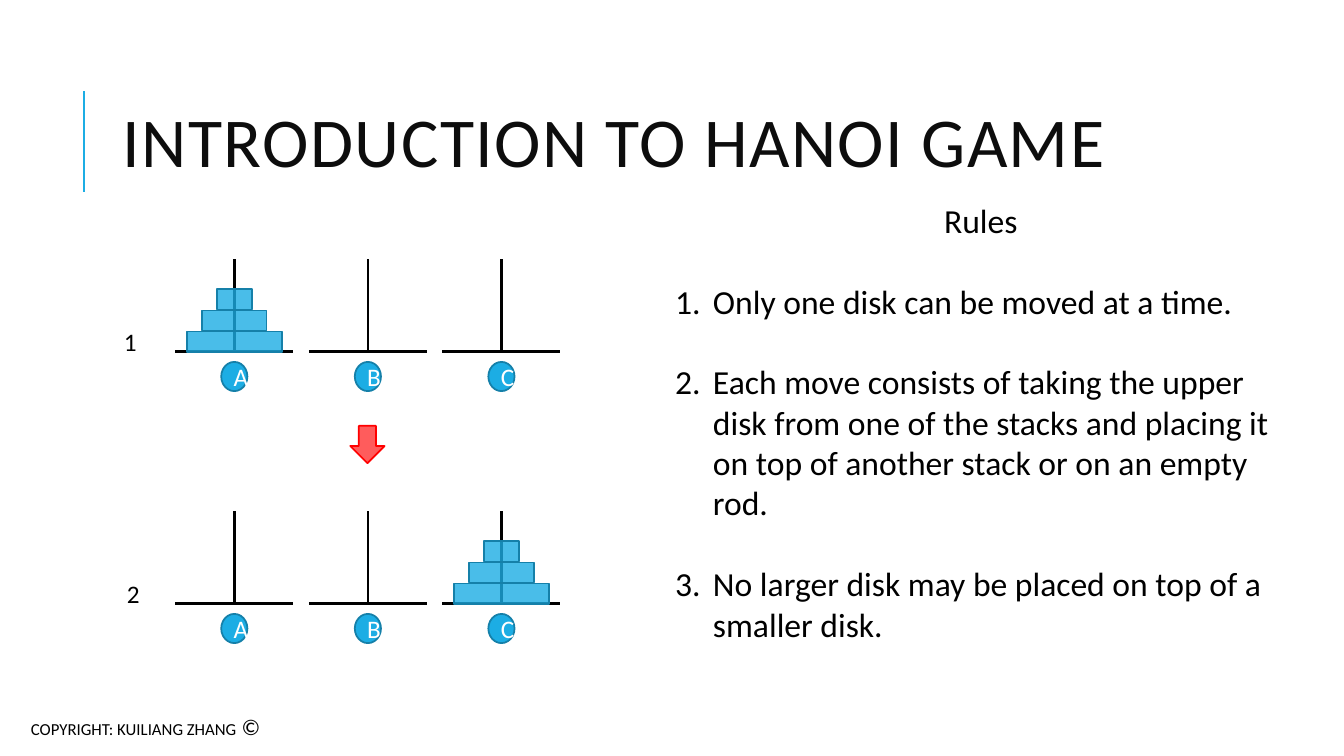
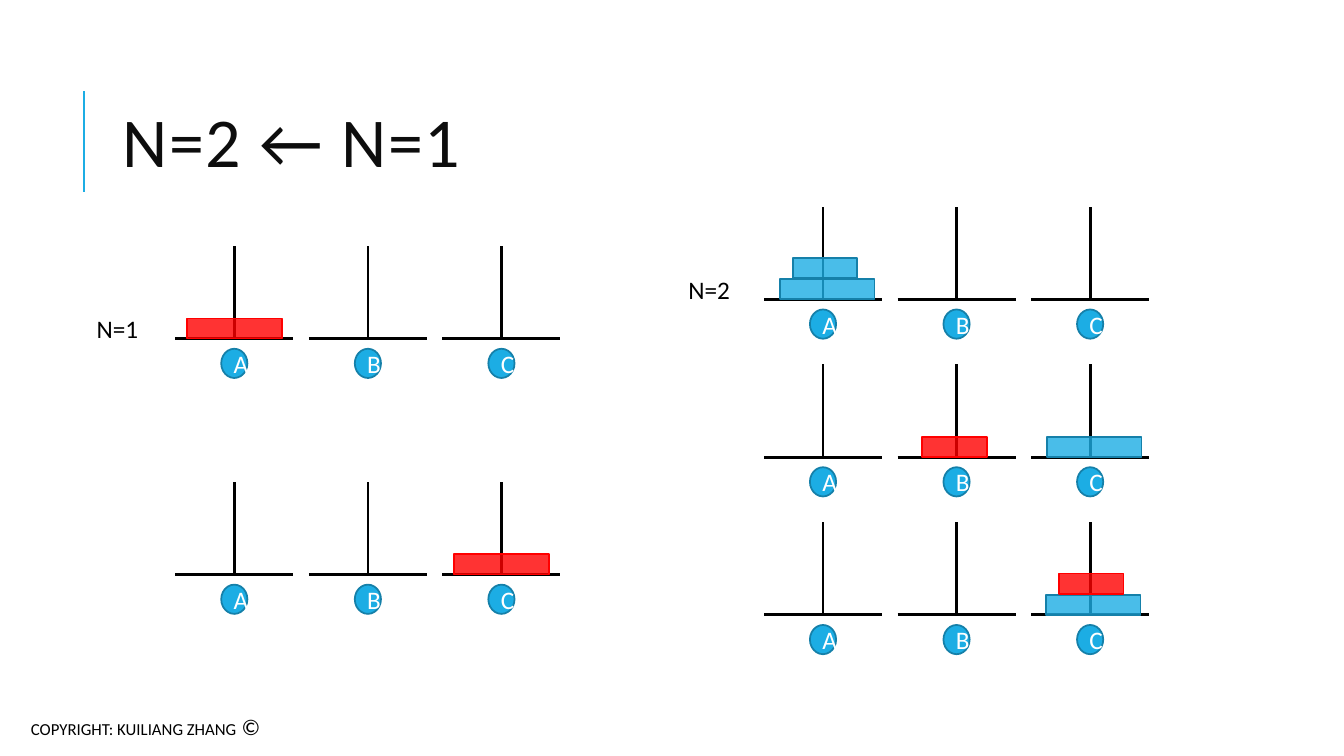
import dataclasses
import typing

import lxml.etree
import pptx
import pptx.dml.color
import pptx.enum.shapes
import pptx.enum.text
import pptx.oxml.ns
import pptx.util

RGBColor = pptx.dml.color.RGBColor
MSO_SHAPE = pptx.enum.shapes.MSO_SHAPE
PP_ALIGN = pptx.enum.text.PP_ALIGN
MSO_ANCHOR = pptx.enum.text.MSO_ANCHOR
MSO_AUTO_SIZE = pptx.enum.text.MSO_AUTO_SIZE

SKY = RGBColor(0x1C, 0xAD, 0xE4)
SKY_EDGE = RGBColor(0x15, 0x80, 0xA9)
RED = RGBColor(0xFF, 0x00, 0x00)
INK = RGBColor(0x0D, 0x0D, 0x0D)
BLACK = RGBColor(0x00, 0x00, 0x00)
WHITE = RGBColor(0xFF, 0xFF, 0xFF)

FONT = "Calibri"
CELL = pptx.util.Inches(0.1)
COLUMNS, ROWS = 133.33, 75

PEGS = "ABC"
PEG_PITCH = 13.25
BASE_WIDTH = 11.7
ROD_HEIGHT = 9.2
DISK_HEIGHT = 2
DISK_PITCH = 2.1
BADGE_WIDTH, BADGE_HEIGHT, BADGE_DROP = 2.6, 2.9, 1
LABEL_RISE = 3
LARGE, MEDIUM, SMALL = 9.4, 6.4, 3.5


@dataclasses.dataclass(frozen=True)
class Frame:
    left: float
    top: float
    width: float
    height: float

    def emu(self) -> tuple[int, ...]:
        return tuple(cells(n) for n in dataclasses.astuple(self))


@dataclasses.dataclass(frozen=True)
class Disk:
    width: float
    fill: RGBColor = SKY
    edge: RGBColor = SKY_EDGE
    shift: float = 0


@dataclasses.dataclass(frozen=True)
class Label:
    wording: str
    left: float
    width: float


@dataclasses.dataclass(frozen=True)
class Board:
    left: float
    base: float
    stacks: dict[str, tuple[Disk, ...]]
    label: typing.Optional[Label] = None


TOWER = (Disk(LARGE), Disk(MEDIUM), Disk(SMALL))
RED_LARGE = Disk(LARGE, RED, RED)
LEFT_BOARDS = 17.4
RIGHT_BOARDS = 75.8
RIGHT_TOP, RIGHT_STEP = 29.7, 15.65

INTRO_BOARDS = (
    Board(LEFT_BOARDS, 34.9, {"A": TOWER}, Label("1", 11.3, 3.4)),
    Board(LEFT_BOARDS, 59.9, {"C": TOWER}, Label("2", 11.6, 3.4)),
)
RIGHT_STACKS = (
    {"A": (Disk(LARGE, shift=0.4), Disk(MEDIUM, shift=0.2))},
    {"B": (Disk(MEDIUM, RED, RED, -0.2),), "C": (Disk(LARGE, shift=0.4),)},
    {"C": (Disk(LARGE, shift=0.3), Disk(MEDIUM, RED, RED, 0.1))},
)
STEP_BOARDS = (
    Board(LEFT_BOARDS, 33.6, {"A": (RED_LARGE,)}, Label("N=1", 8.6, 6.8)),
    Board(LEFT_BOARDS, 57, {"C": (RED_LARGE,)}),
    *(
        Board(
            RIGHT_BOARDS,
            RIGHT_TOP + RIGHT_STEP * row,
            stacks,
            Label("N=2", 67.3, 6.8) if row == 0 else None,
        )
        for row, stacks in enumerate(RIGHT_STACKS)
    ),
)
RULES = (
    "Only one disk can be moved at a time.",
    "Each move consists of taking the upper disk from one of the stacks "
    "and placing it on top of another stack or on an empty rod.",
    "No larger disk may be placed on top of a smaller disk.",
)


def cells(count: float) -> int:
    return round(count * CELL)


def add_run(paragraph, wording: str, size: float, color: RGBColor = BLACK):
    run = paragraph.add_run()
    run.text = wording
    run.font.name = FONT
    run.font.size = pptx.util.Pt(size)
    run.font.color.rgb = color
    return run


def add_line(slide, start: tuple[float, float], end: tuple[float, float],
             color: RGBColor = BLACK, weight: float = 2):
    line = slide.shapes.add_connector(
        pptx.enum.shapes.MSO_CONNECTOR.STRAIGHT,
        *(cells(n) for n in (*start, *end)),
    )
    line.line.color.rgb = color
    line.line.width = pptx.util.Pt(weight)
    properties = line._element.spPr
    lxml.etree.SubElement(properties, pptx.oxml.ns.qn("a:effectLst"))
    return line


def add_solid(slide, outline, frame: Frame, fill: RGBColor, edge: RGBColor,
              opacity: int = 100):
    solid = slide.shapes.add_shape(outline, *frame.emu())
    solid.shadow.inherit = False
    solid.fill.solid()
    solid.fill.fore_color.rgb = fill
    solid.line.color.rgb = edge
    solid.line.width = pptx.util.Pt(1.25)
    if opacity < 100:
        tint = solid._element.spPr.find(".//" + pptx.oxml.ns.qn("a:srgbClr"))
        alpha = lxml.etree.SubElement(tint, pptx.oxml.ns.qn("a:alpha"))
        alpha.set("val", str(opacity * 1000))
    return solid


def add_text_frame(slide, frame: Frame, wrap: bool = True):
    text_frame = slide.shapes.add_textbox(*frame.emu()).text_frame
    text_frame.word_wrap = wrap
    return text_frame


def add_peg(slide, letter: str, center: float, base: float,
            stack: tuple[Disk, ...]) -> None:
    half = BASE_WIDTH / 2
    add_line(slide, (center - half, base), (center + half, base))
    rod = add_line(slide, (center, base), (center, base - ROD_HEIGHT))
    for level, disk in enumerate(stack):
        place = Frame(
            center + disk.shift - disk.width / 2,
            base - DISK_HEIGHT - level * DISK_PITCH,
            disk.width,
            DISK_HEIGHT,
        )
        block = add_solid(slide, MSO_SHAPE.RECTANGLE, place, disk.fill, disk.edge, 80)
        if level == 0 and disk.shift == 0:
            rod.begin_connect(block, 2)
    badge = add_solid(
        slide,
        MSO_SHAPE.OVAL,
        Frame(center - BADGE_WIDTH / 2, base + BADGE_DROP, BADGE_WIDTH, BADGE_HEIGHT),
        SKY,
        SKY_EDGE,
    )
    paragraph = badge.text_frame.paragraphs[0]
    paragraph.alignment = PP_ALIGN.CENTER
    add_run(paragraph, letter, 18, WHITE)


def add_board(slide, board: Board) -> None:
    for column, letter in enumerate(PEGS):
        center = board.left + BASE_WIDTH / 2 + column * PEG_PITCH
        add_peg(slide, letter, center, board.base, board.stacks.get(letter, ()))
    if board.label:
        place = Frame(board.label.left, board.base - LABEL_RISE, board.label.width, 4)
        text_frame = add_text_frame(slide, place, wrap=False)
        text_frame.auto_size = MSO_AUTO_SIZE.SHAPE_TO_FIT_TEXT
        add_run(text_frame.paragraphs[0], board.label.wording, 18)


def add_copyright(slide) -> None:
    paragraph = add_text_frame(slide, Frame(1.2, 70.6, 27, 3.9)).paragraphs[0]
    paragraph.alignment = PP_ALIGN.CENTER
    paragraph.line_spacing = 0.9
    paragraph.space_before = pptx.util.Pt(10)
    add_run(paragraph, "COPYRIGHT: KUILIANG ZHANG", 12)
    add_run(paragraph, " © ", 16)


def add_titled_slide(deck, heading: str, boards: tuple[Board, ...]):
    slide = deck.slides.add_slide(deck.slide_layouts.get_by_name("Title Only"))
    add_line(slide, (8.3, 19), (8.3, 9), SKY, 1.5)
    title = slide.shapes.title
    title.left, title.top, title.width, title.height = Frame(11.2, 6.4, 106.3, 16.4).emu()
    title.text_frame.auto_size = MSO_AUTO_SIZE.NONE
    title.text_frame.vertical_anchor = MSO_ANCHOR.MIDDLE
    paragraph = title.text_frame.paragraphs[0]
    paragraph.alignment = PP_ALIGN.LEFT
    paragraph.line_spacing = 0.8
    run = add_run(paragraph, heading, 50, INK)
    run.font._element.set("spc", "100")
    for board in boards:
        add_board(slide, board)
    add_copyright(slide)
    return slide


def add_rules(slide) -> None:
    text_frame = add_text_frame(slide, Frame(66, 19.3, 62.6, 49.5))
    heading = text_frame.paragraphs[0]
    heading.alignment = PP_ALIGN.CENTER
    add_run(heading, "Rules", 24)
    indent = cells(3.75)
    for rule in RULES:
        paragraph = text_frame.add_paragraph()
        paragraph.space_before = pptx.util.Pt(29)
        properties = paragraph._p.get_or_add_pPr()
        properties.set("marL", str(indent))
        properties.set("indent", str(-indent))
        numbering = lxml.etree.SubElement(properties, pptx.oxml.ns.qn("a:buAutoNum"))
        numbering.set("type", "arabicPeriod")
        add_run(paragraph, rule, 24)


def main() -> None:
    deck = pptx.Presentation()
    deck.slide_width, deck.slide_height = cells(COLUMNS), cells(ROWS)

    intro = add_titled_slide(deck, "INTRODUCTION TO HANOI GAME", INTRO_BOARDS)
    arrow = add_solid(
        intro, MSO_SHAPE.RIGHT_ARROW, Frame(34.6, 42.4, 3.7, 3.4), RED, RED, 64
    )
    arrow.rotation = 90
    add_rules(intro)

    add_titled_slide(deck, "N=2 ← N=1", STEP_BOARDS)
    deck.save("out.pptx")


if __name__ == "__main__":
    main()
